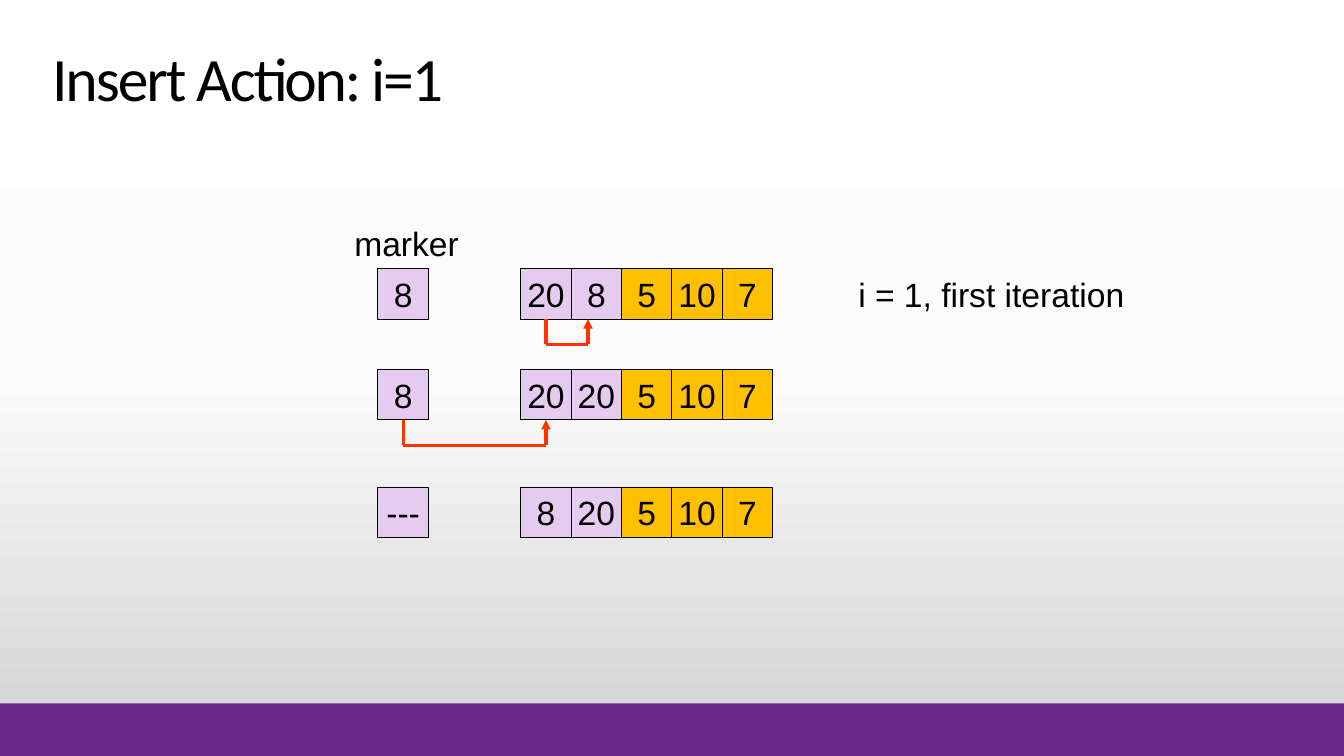
from copy import deepcopy
from dataclasses import dataclass

from pptx import Presentation
from pptx.dml.color import RGBColor
from pptx.enum.shapes import MSO_CONNECTOR as Connector, MSO_SHAPE as Shape
from pptx.enum.text import MSO_ANCHOR as Anchor, MSO_AUTO_SIZE as AutoSize, PP_ALIGN as Align
from pptx.oxml.ns import qn
from pptx.util import Pt


@dataclass(frozen=True)
class Theme:
    black: str = "000000"
    band: str = "6C2787"
    sorted_cell: str = "E6CBF0"
    unsorted_cell: str = "FFC000"
    arrow: str = "FF3300"
    background: tuple = ((0, "FFFFFF"), (0.5, "FBFBFB"), (1, "D1D1D1"))
    title_font: str = "Calibri"
    body_font: str = "Arial"
    title_size: int = 44
    body_size: int = 24


THEME = Theme()
WIDTH, HEIGHT = 960, 540
CELL = 36
MARKER_LEFT, ARRAY_LEFT = 270, 372
SORTED_COUNT = 2
ARROW_DROP = 18
ROWS = [
    (192, "8", ["20", "8", "5", "10", "7"]),
    (264, "8", ["20", "20", "5", "10", "7"]),
    (348, "---", ["8", "20", "5", "10", "7"]),
]


def set_attributes(target, values):
    for name, value in values.items():
        setattr(target, name, value)


def write_text(shape, text, font_name, size, frame_format, paragraph_format):
    frame = shape.text_frame
    frame.text = text
    set_attributes(frame, frame_format)
    paragraph = frame.paragraphs[0]
    set_attributes(paragraph, paragraph_format)
    set_attributes(paragraph.font, {"name": font_name, "size": Pt(size)})
    paragraph.font.color.rgb = RGBColor.from_string(THEME.black)
    return paragraph


def paint_background(slide):
    fill = slide.background.fill
    fill.gradient()
    fill.gradient_angle = 270
    stop_list = next(slide.element.iter(qn("a:gsLst")))
    stop_list.insert(1, deepcopy(stop_list[0]))
    for stop, (position, color) in zip(fill.gradient_stops, THEME.background):
        stop.position = position
        stop.color.rgb = RGBColor.from_string(color)


def add_rectangle(slide, left, top, width, height, color):
    shape = slide.shapes.add_shape(Shape.RECTANGLE, Pt(left), Pt(top), Pt(width), Pt(height))
    shape.shadow.inherit = False
    shape.fill.solid()
    shape.fill.fore_color.rgb = RGBColor.from_string(color)
    shape.line.fill.background()
    return shape


def add_title(slide, text):
    title = slide.shapes.title
    set_attributes(title, {"left": Pt(30), "top": Pt(23), "width": Pt(738), "height": Pt(62.6)})
    paragraph = write_text(
        title, text, THEME.title_font, THEME.title_size,
        {"vertical_anchor": Anchor.BOTTOM, "auto_size": AutoSize.NONE},
        {"alignment": Align.LEFT, "line_spacing": 0.9},
    )
    paragraph.runs[0].font.size = Pt(THEME.title_size)
    for run in paragraph.runs:
        run.font._element.set("spc", "-150")


def add_label(slide, text, left, top, width):
    box = slide.shapes.add_textbox(Pt(left), Pt(top), Pt(width), Pt(CELL))
    write_text(box, text, THEME.body_font, THEME.body_size,
               {"word_wrap": True, "auto_size": AutoSize.SHAPE_TO_FIT_TEXT}, {})


def add_cell(slide, text, left, top, color):
    cell = add_rectangle(slide, left, top, CELL, CELL, color)
    cell.line.color.rgb = RGBColor.from_string(THEME.black)
    cell.line.width = Pt(0.75)
    write_text(cell, text, THEME.body_font, THEME.body_size,
               {"word_wrap": False, "vertical_anchor": Anchor.MIDDLE},
               {"alignment": Align.CENTER})


def add_row(slide, top, marker, values):
    add_cell(slide, marker, MARKER_LEFT, top, THEME.sorted_cell)
    for index, value in enumerate(values):
        color = THEME.sorted_cell if index < SORTED_COUNT else THEME.unsorted_cell
        add_cell(slide, value, ARRAY_LEFT + index * CELL, top, color)


def add_line(slide, start, end, arrowhead=False):
    line = slide.shapes.add_connector(Connector.STRAIGHT, *map(Pt, start + end))
    line.line.color.rgb = RGBColor.from_string(THEME.arrow)
    line.line.width = Pt(2.25)
    properties = line._element.spPr
    if arrowhead:
        tail = properties.makeelement(qn("a:tailEnd"), {"type": "triangle"})
        properties.find(qn("a:ln")).append(tail)
    properties.append(properties.makeelement(qn("a:effectLst"), {}))


def add_move_arrow(slide, source_x, target_x, row_top):
    """Draw a U-shaped arrow under a row, from one cell to another."""
    top = row_top + CELL
    bottom = top + ARROW_DROP
    add_line(slide, (source_x, bottom), (source_x, top))
    add_line(slide, (target_x, bottom), (target_x, top), arrowhead=True)
    add_line(slide, (target_x, bottom), (source_x, bottom))


def main():
    presentation = Presentation()
    set_attributes(presentation, {"slide_width": Pt(WIDTH), "slide_height": Pt(HEIGHT)})
    slide = presentation.slides.add_slide(presentation.slide_layouts[5])
    paint_background(slide)
    add_rectangle(slide, 0, 502.5, WIDTH, 37.5, THEME.band)
    add_title(slide, "Insert Action: i=1")

    for top, marker, values in ROWS:
        add_row(slide, top, marker, values)
    add_label(slide, "marker", 246, 155.5, 96)
    add_label(slide, "i = 1, first iteration", 606, 192, 216)

    first_cell_x = ARRAY_LEFT + CELL / 2
    add_move_arrow(slide, first_cell_x, 420, ROWS[0][0])
    add_move_arrow(slide, MARKER_LEFT + CELL / 2, first_cell_x, ROWS[1][0])
    presentation.save("out.pptx")


if __name__ == "__main__":
    main()
